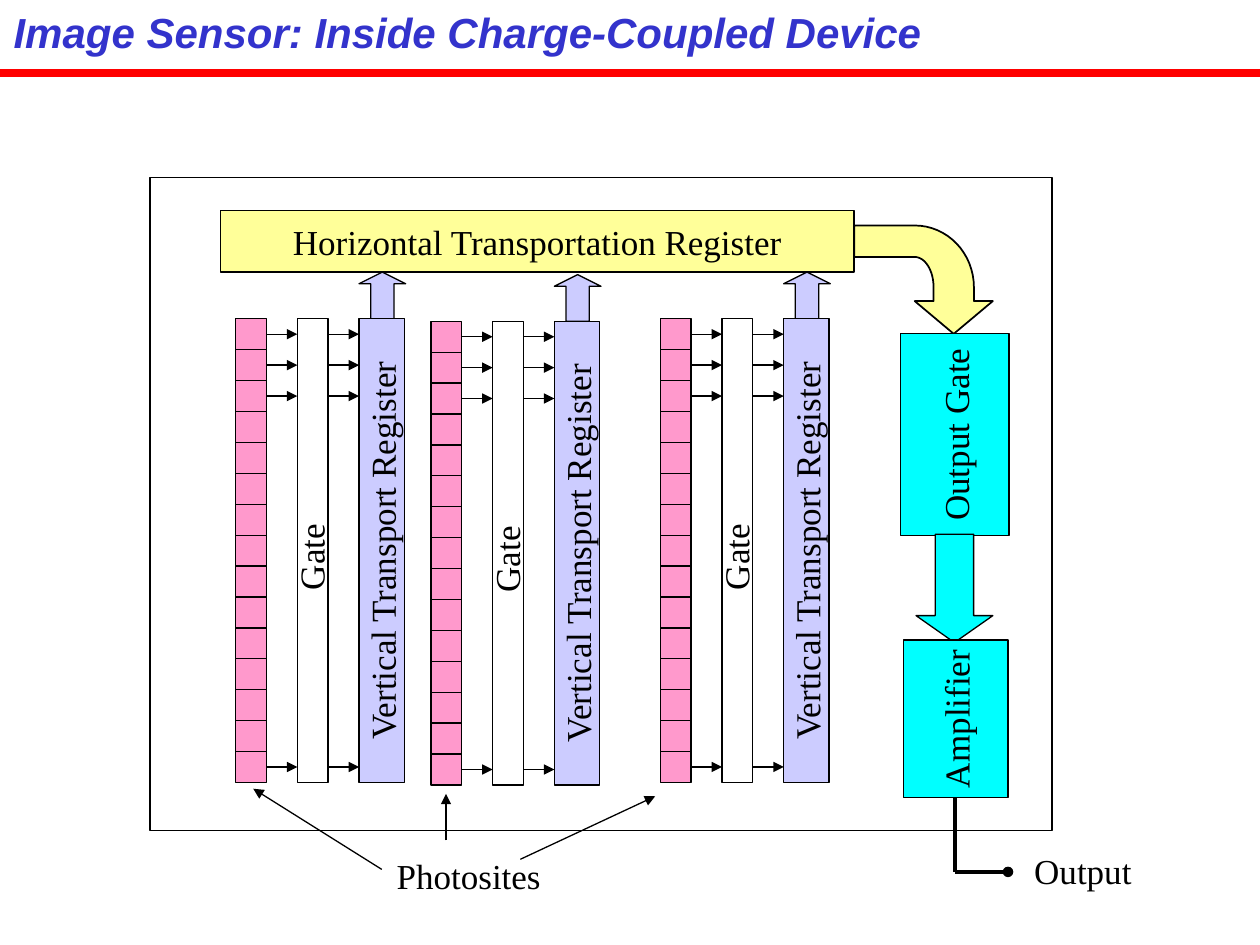
"""Build a slide that shows the inside of a charge-coupled device."""
import math

import pptx
import pptx.dml.color
import pptx.enum.shapes
import pptx.enum.text
import pptx.oxml.ns
import pptx.util
from lxml import etree
from pptx.util import Inches

COLORS = {
    "black": "000000",
    "title": "3333CC",
    "rule": "FF0000",
    "yellow": "FFFF99",
    "cyan": "00FFFF",
    "pink": "FF99CC",
    "lilac": "CCCCFF",
}
SHAPE = pptx.enum.shapes.MSO_SHAPE
ALIGN = pptx.enum.text.PP_ALIGN
PHOTOSITES = 15
CELL = 0.245
COLUMN_HEIGHT = 3.68
ARROW_ROWS = (0, 1, 2, PHOTOSITES - 1)
BLOCK_CORNERS = ((1.87, 2.53), (3.42, 2.55), (5.24, 2.53))


def rgb(name):
    """Return the named colour."""
    return pptx.dml.color.RGBColor.from_string(COLORS[name])


def add_child(parent, tag, **attributes):
    """Append a DrawingML element to a parent element."""
    return etree.SubElement(parent, pptx.oxml.ns.qn(tag), **attributes)


def write_text(shape, text, size=20, font="Times New Roman", color="black",
               bold=False, italic=False, align=ALIGN.CENTER, anchor="MIDDLE"):
    """Write one unwrapped line of formatted text into a shape."""
    frame = shape.text_frame
    frame.word_wrap = False
    frame.vertical_anchor = pptx.enum.text.MSO_ANCHOR[anchor]
    paragraph = frame.paragraphs[0]
    paragraph.text = text
    paragraph.alignment = align
    paragraph.font.name = font
    paragraph.font.size = pptx.util.Pt(size)
    paragraph.font.bold = bold
    paragraph.font.italic = italic
    paragraph.font.color.rgb = rgb(color)


def style_shape(shape, fill, width):
    """Set the fill and black outline of a shape."""
    shape.shadow.inherit = False
    if fill:
        shape.fill.solid()
        shape.fill.fore_color.rgb = rgb(fill)
    else:
        shape.fill.background()
    shape.line.color.rgb = rgb("black")
    shape.line.width = pptx.util.Pt(width)


def add_box(shapes, kind, box, fill=None, width=0.75, rotation=0, adjustments=()):
    """Add an outlined preset shape."""
    shape = shapes.add_shape(kind, *map(Inches, box))
    shape.rotation = rotation
    for index, value in enumerate(adjustments):
        shape.adjustments[index] = value
    style_shape(shape, fill, width)
    return shape


def add_label(shapes, box, text, rotation=0, margins=(0.03, 0.03), **text_format):
    """Add a one-line text box with given left and right margins."""
    label = shapes.add_textbox(*map(Inches, box))
    label.rotation = rotation
    write_text(label, text, anchor="TOP", **text_format)
    frame = label.text_frame
    frame.margin_left, frame.margin_right = map(Inches, margins)
    frame.auto_size = pptx.enum.text.MSO_AUTO_SIZE.NONE


def add_line(shapes, start, end, color="black", width=0.75, tail=None,
             source=None, site=0):
    """Add a straight line, optionally with an end mark and a joined start."""
    line = shapes.add_connector(pptx.enum.shapes.MSO_CONNECTOR.STRAIGHT,
                                *map(Inches, (*start, *end)))
    if source is not None:
        line.begin_connect(source, site)
        line.begin_x, line.begin_y = map(Inches, start)
    line.line.color.rgb = rgb(color)
    line.line.width = pptx.util.Pt(width)
    if tail:
        add_child(line.line._get_or_add_ln(), "a:tailEnd", type=tail)
    add_child(line._element.spPr, "a:effectLst")


def quarter_arc(center, radii, steps=16):
    """Return points of a quarter ellipse from its top to its right."""
    angles = [math.pi / 2 * step / steps for step in range(steps + 1)]
    return [(center[0] + radii[0] * math.sin(angle), center[1] - radii[1] * math.cos(angle))
            for angle in angles]


def add_curved_arrow(shapes):
    """Add the bent arrow from the horizontal register to the output gate."""
    center = (7.26, 2.28)
    head = [(7.73, 2.39), (7.88, 2.39), (7.57, 2.65), (7.26, 2.39), (7.41, 2.39)]
    points = [(6.78, 1.79), *quarter_arc(center, (0.47, 0.49)), *head,
              *reversed(quarter_arc(center, (0.15, 0.24))), (6.78, 2.04)]
    corners = [tuple(map(Inches, point)) for point in points]
    builder = shapes.build_freeform(*corners[0])
    builder.add_line_segments(corners[1:], close=True)
    style_shape(builder.convert_to_shape(), "yellow", 1)


def add_sensor_block(slide, left, top):
    """Add a group of photosites, a gate and a vertical register."""
    shapes = slide.shapes.add_group_shape().shapes
    pitch = COLUMN_HEIGHT / PHOTOSITES
    gate_left = left + 2 * CELL
    register_left = left + 4 * CELL
    for column_left, fill in ((left, "pink"), (gate_left, None)):
        add_box(shapes, SHAPE.RECTANGLE, (column_left, top, CELL, COLUMN_HEIGHT), fill)
    for row in range(1, PHOTOSITES):
        y = top + row * pitch
        add_line(shapes, (left, y), (left + CELL, y))
    for arrow_left in (left + CELL, left + 3 * CELL):
        for row in ARROW_ROWS:
            y = top + (row + 0.5) * pitch
            add_line(shapes, (arrow_left, y), (arrow_left + CELL, y), tail="triangle")
    add_box(shapes, SHAPE.UP_ARROW, (register_left, top - 0.37, 0.37, 0.37), "lilac",
            adjustments=(0.5, 0.25))
    register = add_box(shapes, SHAPE.RECTANGLE,
                       (left - 0.68, top + 1.66, COLUMN_HEIGHT, 0.36), "lilac", rotation=270)
    write_text(register, "Vertical Transport Register")
    add_label(shapes, (left + 0.24, top + 1.67, 0.72, 0.44), "Gate", rotation=270)


def add_output_stage(shapes):
    """Add the horizontal register and the path to the output."""
    register = add_box(shapes, SHAPE.RECTANGLE, (1.75, 1.67, 5.03, 0.49), "yellow", width=1)
    write_text(register, "Horizontal Transportation Register")
    add_curved_arrow(shapes)
    gate = add_box(shapes, SHAPE.RECTANGLE, (7.15, 2.65, 0.86, 1.6), "cyan")
    write_text(gate, "Output Gate")
    frame = gate.text_frame
    frame.margin_left = frame.margin_right = Inches(0.05)
    frame.margin_top = frame.margin_bottom = Inches(0.1)
    frame._txBody.bodyPr.set("vert", "vert270")
    add_box(shapes, SHAPE.DOWN_ARROW, (7.27, 4.24, 0.61, 0.86), "cyan",
            adjustments=(0.5, 0.35))
    amplifier = add_box(shapes, SHAPE.RECTANGLE, (6.96, 5.29, 1.25, 0.83), "cyan", rotation=270)
    write_text(amplifier, "Amplifier")
    add_line(shapes, (7.58, 6.33), (7.58, 6.92), width=2, source=amplifier, site=1)
    add_line(shapes, (7.58, 6.92), (8, 6.92), width=2, tail="oval")


def add_callouts(shapes):
    """Add the labels below the device and the photosite pointers."""
    add_label(shapes, (3.05, 6.73, 1.34, 0.44), "Photosites")
    for start, end in (((3.03, 6.9), (2.01, 6.26)),
                       ((3.54, 6.67), (3.54, 6.3)),
                       ((4.13, 6.82), (5.2, 6.32))):
        add_line(shapes, start, end, tail="triangle")
    add_label(shapes, (8.11, 6.69, 0.97, 0.44), "Output")


def main():
    """Build and save the slide."""
    presentation = pptx.Presentation()
    presentation.slide_width = Inches(10)
    presentation.slide_height = Inches(7.5)
    slide = presentation.slides.add_slide(presentation.slide_layouts[6])
    shapes = slide.shapes
    add_line(shapes, (0, 0.58), (10, 0.58), color="rule", width=4.5)
    add_box(shapes, SHAPE.RECTANGLE, (1.19, 1.41, 7.16, 5.18))
    add_output_stage(shapes)
    for left, top in BLOCK_CORNERS:
        add_sensor_block(slide, left, top)
    add_callouts(shapes)
    add_label(shapes, (0.01, 0, 7.4, 0.5), "Image Sensor: Inside Charge-Coupled Device",
              margins=(0.1, 0), size=24, font="Arial", color="title", bold=True,
              italic=True, align=ALIGN.LEFT)
    presentation.save("out.pptx")


if __name__ == "__main__":
    main()
